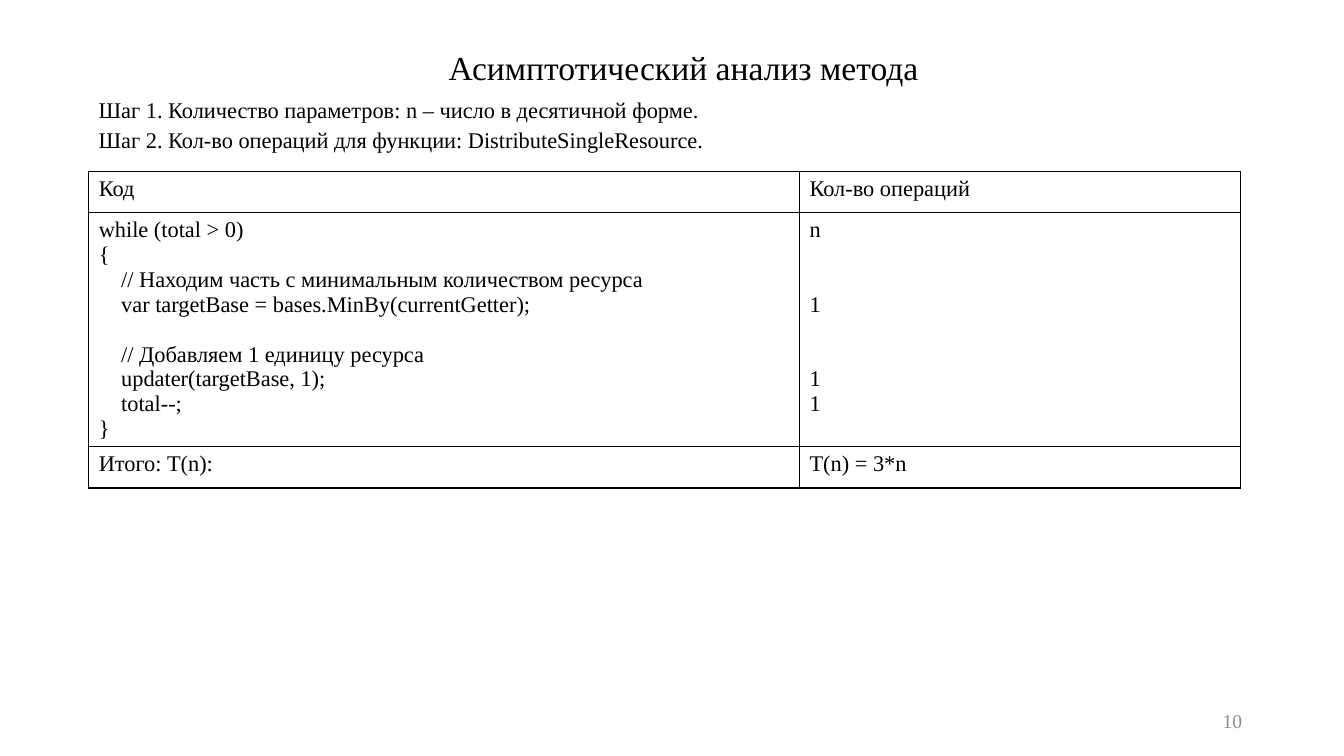
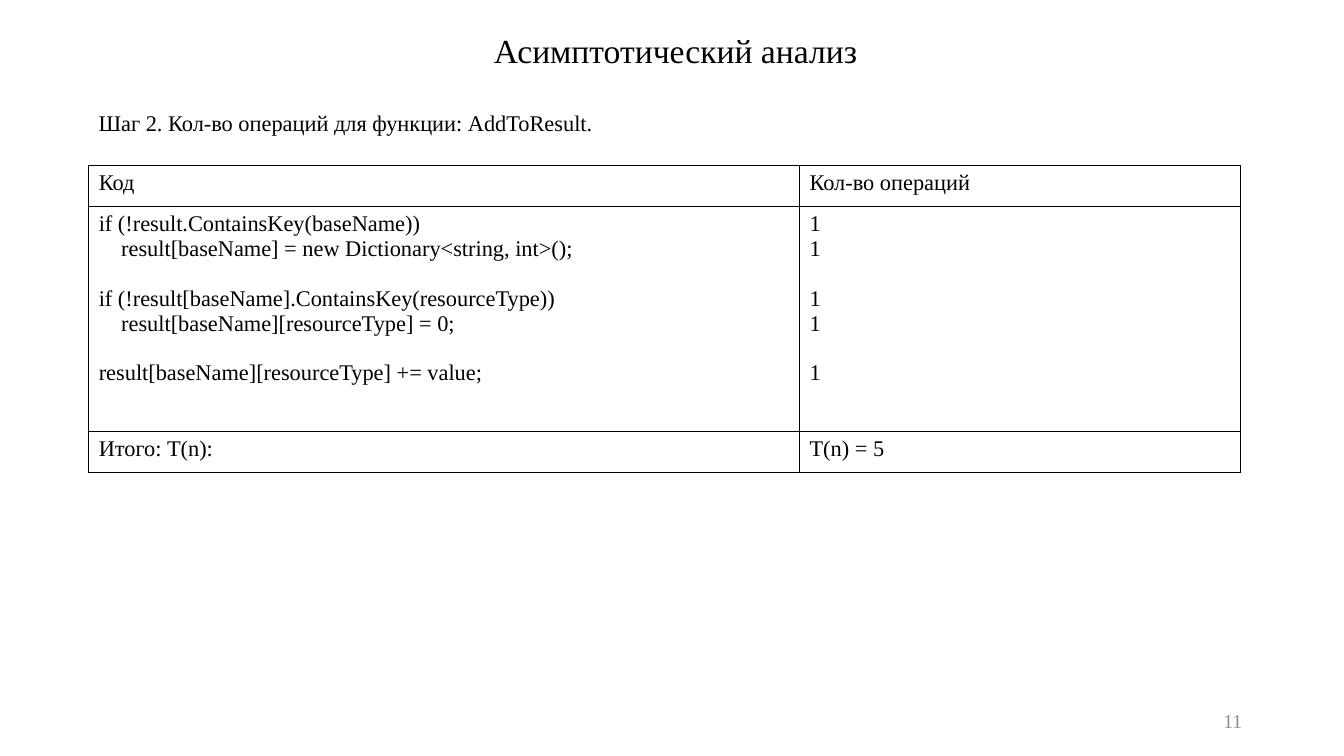
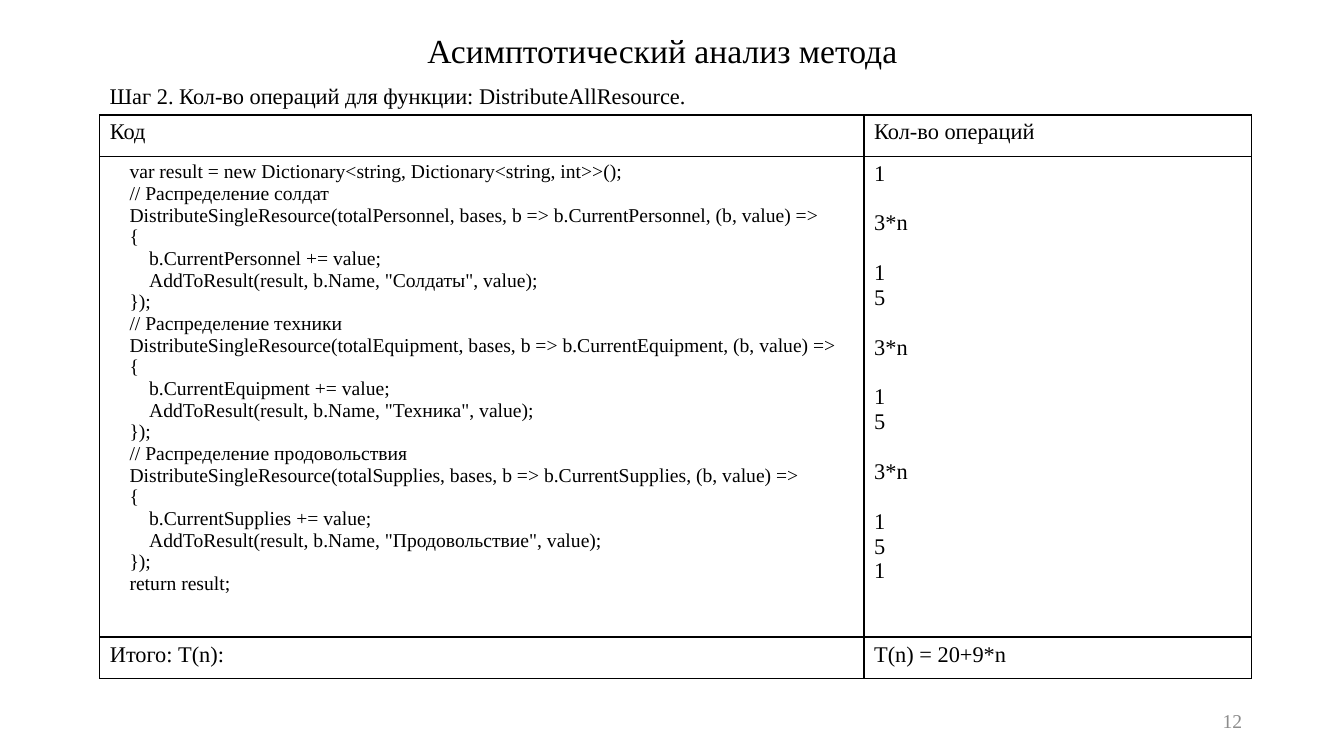
from dataclasses import dataclass

from lxml import etree
from pptx import Presentation
from pptx.dml.color import RGBColor
from pptx.enum.text import MSO_ANCHOR, PP_ALIGN
from pptx.oxml.ns import qn
from pptx.util import Inches, Pt

CENTER, RIGHT, JUSTIFY = PP_ALIGN.CENTER, PP_ALIGN.RIGHT, PP_ALIGN.JUSTIFY
TOP, MIDDLE = MSO_ANCHOR.TOP, MSO_ANCHOR.MIDDLE


@dataclass(frozen=True)
class Theme:
    face: str = "Times New Roman"
    ink: str = "000000"
    muted: str = "8C8C8C"
    title: int = 24
    body: int = 16
    small: int = 14
    leading: float = 1.1    # line spacing of titles and steps
    pitch: float = 1.107    # line height of the face, in ems
    space: float = 0.25     # width of a space, in ems
    border: int = 1


THEME = Theme()


def write(frame, text, size, color=THEME.ink, align=None, leading=None):
    """Fill a frame; blank lines become space before, leading spaces an indent."""
    blanks, first = 0, True
    for line in text.strip("\n").split("\n"):
        words = line.lstrip()
        if not words:
            blanks += 1
            continue
        para = frame.paragraphs[0] if first else frame.add_paragraph()
        para.text = words
        para.alignment = align
        para.line_spacing = leading
        para.font.name = THEME.face
        para.font.size = Pt(size)
        para.font.color.rgb = RGBColor.from_string(color)
        if blanks:
            para.space_before = Pt(blanks * size * THEME.pitch)
        indent = (len(line) - len(words)) * size * THEME.space
        if indent:
            para._p.get_or_add_pPr().set("marL", str(Pt(indent)))
        blanks, first = 0, False


def label(slide, box, text, size, anchor=TOP, **style):
    frame = slide.shapes.add_textbox(*map(Inches, box)).text_frame
    frame.word_wrap = True
    frame.vertical_anchor = anchor
    write(frame, text, size, **style)


# Code listings and their operation counts
SINGLE = """
while (total > 0)
{
    // Находим часть с минимальным количеством ресурса
    var targetBase = bases.MinBy(currentGetter);

    // Добавляем 1 единицу ресурса
    updater(targetBase, 1);
    total--;
}
"""
SINGLE_OPS = "n\n\n\n1\n\n\n1\n1"

ADD = """
if (!result.ContainsKey(baseName))
    result[baseName] = new Dictionary<string, int>();

if (!result[baseName].ContainsKey(resourceType))
    result[baseName][resourceType] = 0;

result[baseName][resourceType] += value;
"""
ADD_OPS = "1\n1\n\n1\n1\n\n1"

ALL = "    var result = new Dictionary<string, Dictionary<string, int>>();\n"
ALL_OPS = "1\n"
for field, whose, name in [
    ("Personnel", "солдат", "Солдаты"),
    ("Equipment", "техники", "Техника"),
    ("Supplies", "продовольствия", "Продовольствие"),
]:
    ALL += f"""    // Распределение {whose}
    DistributeSingleResource(total{field}, bases, b => b.Current{field}, (b, value) =>
    {{
        b.Current{field} += value;
        AddToResult(result, b.Name, "{name}", value);
    }});
"""
    ALL_OPS += "\n3*n\n\n1\n5\n"
ALL += "    return result;"
ALL_OPS += "1"

# Content and geometry of each slide
STEP = "Шаг 2. Кол-во операций для функции: "
PAGES = [
    dict(title="Асимптотический анализ метода", head=(1.47, 0.38),
         steps="Шаг 1. Количество параметров: n – число в десятичной форме.\n"
               + STEP + "DistributeSingleResource.",
         note=(0.88, 0.88, 11.42, 0.64), top=1.7, cols=(7.05, 4.37), tall=2.32,
         code=SINGLE, size=THEME.body, ops=SINGLE_OPS, total="T(n) = 3*n"),
    dict(title="Асимптотический анализ", head=(1.39, 0.21),
         steps=STEP + "AddToResult.",
         note=(0.88, 1.01, 6.67, 0.37), top=1.64, cols=(7.05, 4.37), tall=2.23,
         code=ADD, size=THEME.body, ops=ADD_OPS, total="T(n) = 5"),
    dict(title="Асимптотический анализ метода", head=(1.26, 0.21),
         steps=STEP + "DistributeAllResource.",
         note=(0.99, 0.74, 6.67, 0.37), top=1.14, cols=(7.58, 3.84), tall=4.77,
         code=ALL, size=THEME.small, ops=ALL_OPS, total="T(n) = 20+9*n"),
]

deck = Presentation()
deck.slide_width, deck.slide_height = Inches(13.33), Inches(7.5)

for number, page in enumerate(PAGES, 10):
    slide = deck.slides.add_slide(deck.slide_layouts[6])

    # Table
    rows = (0.41, page["tall"], 0.41)
    table = slide.shapes.add_table(
        3, 2, Inches(page["note"][0]), Inches(page["top"]),
        Inches(sum(page["cols"])), Inches(sum(rows))).table
    table.first_row = table.horz_banding = False
    for column, width in zip(table.columns, page["cols"]):
        column.width = Inches(width)
    for row, height in zip(table.rows, rows):
        row.height = Inches(height)
    texts = ["Код", "Кол-во операций", page["code"], page["ops"],
             "Итого: T(n):", page["total"]]
    for spot, (cell, text) in enumerate(zip(table.iter_cells(), texts)):
        write(cell.text_frame, text, page["size"] if spot == 2 else THEME.body)
        props = cell._tc.get_or_add_tcPr()
        for side in ("a:lnL", "a:lnR", "a:lnT", "a:lnB"):
            line = etree.SubElement(props, qn(side), w=str(Pt(THEME.border)))
            fill = etree.SubElement(line, qn("a:solidFill"))
            etree.SubElement(fill, qn("a:srgbClr"), val=THEME.ink)
        cell.fill.background()

    # Title, steps and page number
    label(slide, (*page["head"], 10.62, 0.5), page["title"], THEME.title,
          align=CENTER, leading=THEME.leading)
    label(slide, page["note"], page["steps"], THEME.body,
          align=JUSTIFY, leading=THEME.leading)
    label(slide, (9.42, 6.95, 3, 0.4), str(number), THEME.small, MIDDLE,
          color=THEME.muted, align=RIGHT)

deck.save("out.pptx")
